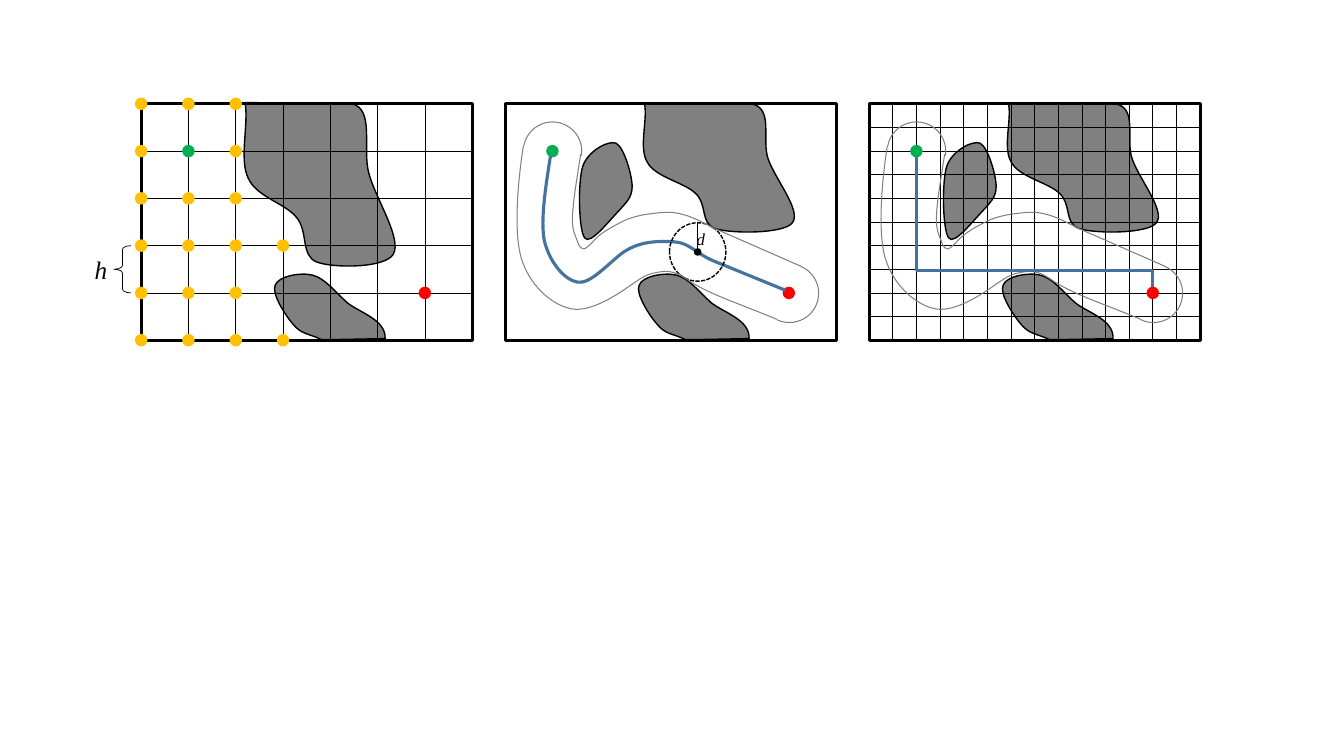
from lxml import etree
from pptx import Presentation
from pptx import util as u
from pptx.dml.color import RGBColor
from pptx.enum import dml, shapes, text
from pptx.oxml.ns import qn

COLORS = {"ink": "000000", "rock": "808080", "corridor": "808080", "route": "43739E",
          "start": "00B050", "goal": "FF0000", "node": "FFC000"}
KIND = shapes.MSO_SHAPE
COLS, ROWS, CELL = 7, 5, 0.469
LEFT, TOP, PITCH = 1.4, 1.03, 3.61
DOT = 0.11
START, GOAL = (1, 1), (6, 4)
REACHED = [(0, 1, 2), (0, 2), (0, 1, 2), (0, 1, 2, 3), (0, 1, 2), (0, 1, 2, 3)]

LOWER_ROCK = [(2.42, 2.33), (2.43, 2.14), (2.16, 2.07), (2.04, 1.97), (1.92, 1.86), (1.82, 1.73),
              (1.7, 1.7), (1.58, 1.67), (1.36, 1.71), (1.33, 1.8), (1.29, 1.88), (1.43, 2.1),
              (1.51, 2.19), (1.59, 2.29), (1.67, 2.28), (1.79, 2.34), (1.95, 2.34), (2.35, 2.33),
              (2.42, 2.33)]
UPPER_ROCK = [(1.38, -0.01), (1.42, 0.15), (1.32, 0.43), (1.41, 0.58), (1.49, 0.73), (1.78, 0.78),
              (1.89, 0.89), (2.01, 1), (1.93, 1.19), (2.09, 1.24), (2.25, 1.29), (2.77, 1.29),
              (2.85, 1.18), (2.94, 1.06), (2.68, 0.75), (2.61, 0.55), (2.54, 0.36), (2.67, 0.04),
              (2.44, 0), (2.43, 0), (1.39, -0.01), (1.38, -0.01)]
TALL_ROCK = [(x - 0.35, y * 1.265) for x, y in UPPER_ROCK]
SMALL_ROCK = [(1.12, 1.07), (1.2, 0.98), (1.26, 0.93), (1.26, 0.82), (1.26, 0.71), (1.18, 0.43),
              (1.1, 0.39), (1.02, 0.36), (0.82, 0.47), (0.77, 0.62), (0.72, 0.78), (0.73, 1.26),
              (0.79, 1.33), (0.84, 1.41), (1.04, 1.15), (1.12, 1.07)]
SMOOTH_ROUTE = [(0.45, 0.52), (0.4, 0.84), (0.35, 1.16), (0.39, 1.36), (0.44, 1.57), (0.59, 1.75),
                (0.72, 1.77), (0.84, 1.79), (1, 1.61), (1.15, 1.49), (1.32, 1.36), (1.52, 1.36),
                (1.68, 1.37), (1.83, 1.38), (1.9, 1.49), (2.07, 1.56), (2.78, 1.85)]
INNER_EDGE = [(0.75, 0.5), (0.7, 0.82), (0.68, 0.94), (0.67, 1.08), (0.66, 1.21), (0.68, 1.27),
              (0.7, 1.32), (0.72, 1.36), (0.73, 1.44), (0.78, 1.44), (0.83, 1.43), (0.9, 1.32),
              (0.97, 1.28), (1.04, 1.23), (1.12, 1.19), (1.2, 1.15), (1.28, 1.12), (1.36, 1.1),
              (1.45, 1.09), (1.54, 1.08), (1.64, 1.06), (1.77, 1.1), (1.89, 1.13), (2.03, 1.22),
              (2.2, 1.29), (2.93, 1.61)]
OUTER_EDGE = [(0.18, 0.42), (0.13, 0.74), (0.08, 1.26), (0.16, 1.53), (0.24, 1.8), (0.46, 1.99),
              (0.64, 2.03), (0.82, 2.08), (1.09, 1.91), (1.23, 1.81), (1.36, 1.72), (1.39, 1.7),
              (1.47, 1.68), (1.58, 1.66), (1.65, 1.63), (1.83, 1.76), (2.03, 1.89), (2.29, 1.97),
              (2.7, 2.14)]


def color(name):
    """Return the named colour."""
    return RGBColor.from_string(COLORS[name])


def paint(shape, fill, line, width):
    """Set fill and outline and remove the shadow."""
    shape.shadow.inherit = False
    if fill:
        shape.fill.solid()
        shape.fill.fore_color.rgb = color(fill)
    else:
        shape.fill.background()
    shape.line.color.rgb = color(line)
    shape.line.width = u.Pt(width)
    return shape


def preset(slide, kind, box, fill=None, line="ink", width=1):
    """Add a painted preset shape in a box given in inches."""
    return paint(slide.shapes.add_shape(kind, *map(u.Inches, box)), fill, line, width)


def thin_line(slide, x1, y1, x2, y2):
    """Add a hairline between two points."""
    hairline = slide.shapes.add_connector(shapes.MSO_CONNECTOR.STRAIGHT,
                                          *map(u.Inches, (x1, y1, x2, y2)))
    hairline.line.color.rgb = color("ink")
    hairline.line.width = u.Pt(0.5)
    etree.SubElement(hairline._element.spPr, qn("a:effectLst"))


def bend(freeform):
    """Join each three segments into a cubic curve; a lone last one stays straight."""
    segments = list(freeform._element.iter(qn("a:lnTo")))
    for first, second, third in zip(segments[::3], segments[1::3], segments[2::3]):
        first.tag = qn("a:cubicBezTo")
        for segment in (second, third):
            first.append(segment[0])
            segment.getparent().remove(segment)


def outline(slide, left, points, fill=None, line="ink", width=1, curved=True):
    """Draw a freeform relative to a panel, closed when it is filled."""
    spots = [(u.Inches(left + x), u.Inches(TOP + y)) for x, y in points]
    builder = slide.shapes.build_freeform(*spots[0])
    builder.add_line_segments(spots[1:], close=bool(fill))
    freeform = paint(builder.convert_to_shape(), fill, line, width)
    if curved:
        bend(freeform)


def rocks(slide, left, *obstacles):
    """Draw the obstacles of a panel."""
    for obstacle in obstacles:
        outline(slide, left, obstacle, "rock")


def grid(slide, left, split):
    """Rule the inside of a panel with each cell split."""
    step = CELL / split
    right, bottom = left + COLS * CELL, TOP + ROWS * CELL
    for col in range(1, COLS * split):
        thin_line(slide, left + col * step, TOP, left + col * step, bottom)
    for row in range(1, ROWS * split):
        thin_line(slide, left, TOP + row * step, right, TOP + row * step)


def frame(slide, left):
    """Draw the border of a panel."""
    preset(slide, KIND.RECTANGLE, (left, TOP, COLS * CELL, ROWS * CELL), width=2.25)


def dot(slide, left, spot, name):
    """Mark a grid node given as column and row."""
    col, row = spot
    box = (left + col * CELL - DOT / 2, TOP + row * CELL - DOT / 2, DOT, DOT)
    preset(slide, KIND.OVAL, box, name, name)


def endpoints(slide, left):
    """Mark start and goal."""
    dot(slide, left, START, "start")
    dot(slide, left, GOAL, "goal")


def corridor(slide, left):
    """Draw the safety corridor with its two round caps."""
    size = 0.58
    for x, y, angles in ((0.18, 0.18, (190, 8.7)), (2.53, 1.59, (291.2, 114.5))):
        cap = preset(slide, KIND.ARC, (left + x, TOP + y, size, size),
                     line="corridor", width=0.75)
        for i, angle in enumerate(angles):
            cap.adjustments[i] = angle * 0.6
    for edge in (INNER_EDGE, OUTER_EDGE):
        outline(slide, left, edge, line="corridor", width=0.75)


def symbol(slide, letter, box, size, margin, wrap):
    """Write an italic symbol."""
    label = slide.shapes.add_textbox(*map(u.Inches, box)).text_frame
    label.word_wrap = wrap
    label.auto_size = text.MSO_AUTO_SIZE.SHAPE_TO_FIT_TEXT
    label.margin_left = label.margin_right = u.Inches(margin)
    label.text = letter
    font = label.paragraphs[0].runs[0].font
    font.name, font.size, font.italic = "Times New Roman", u.Pt(size), True
    font.color.rgb = color("ink")


def search_panel(slide, left):
    """Show the coarse grid with its reached nodes and spacing."""
    rocks(slide, left, LOWER_ROCK, TALL_ROCK)
    grid(slide, left, split=1)
    endpoints(slide, left)
    brace = preset(slide, KIND.LEFT_BRACE, (left - 0.27, TOP + 3 * CELL, 0.17, CELL), width=0.5)
    brace.adjustments[0] = 0.22
    symbol(slide, "h", (left - 0.56, TOP + 1.44, 0.34, 0.4), 18, 0.1, False)
    frame(slide, left)
    for row, reached in enumerate(REACHED):
        for col in reached:
            dot(slide, left, (col, row), "node")


def smooth_panel(slide, left):
    """Show the smooth route and its clearance."""
    rocks(slide, left, LOWER_ROCK, UPPER_ROCK)
    endpoints(slide, left)
    frame(slide, left)
    rocks(slide, left, SMALL_ROCK)
    outline(slide, left, SMOOTH_ROUTE, line="route", width=2.25)
    x, y = left + 1.91, TOP + 1.47
    clearance = preset(slide, KIND.OVAL, (x - 0.28, y - 0.29, 0.56, 0.58))
    clearance.line.dash_style = dml.MSO_LINE.SQUARE_DOT
    preset(slide, KIND.OVAL, (x - 0.03, y - 0.03, 0.06, 0.06), "ink")
    thin_line(slide, x, y, x, y - 0.29)
    symbol(slide, "d", (x - 0.02, y - 0.28, 0.12, 0.3), 12, 0.01, True)
    corridor(slide, left)


def refined_panel(slide, left):
    """Show the route on the refined grid."""
    rocks(slide, left, LOWER_ROCK, UPPER_ROCK, SMALL_ROCK)
    grid(slide, left, split=2)
    frame(slide, left)
    corridor(slide, left)
    turns = [START, (START[0], 3.52), (GOAL[0], 3.52), GOAL]
    outline(slide, left, [(col * CELL, row * CELL) for col, row in turns],
            line="route", width=2.25, curved=False)
    endpoints(slide, left)


def main():
    """Build the slide and save it."""
    deck = Presentation()
    deck.slide_width, deck.slide_height = u.Inches(13.33), u.Inches(7.5)
    slide = deck.slides.add_slide(deck.slide_layouts[6])
    for i, panel in enumerate((search_panel, smooth_panel, refined_panel)):
        panel(slide, LEFT + i * PITCH)
    deck.save("out.pptx")


if __name__ == "__main__":
    main()
